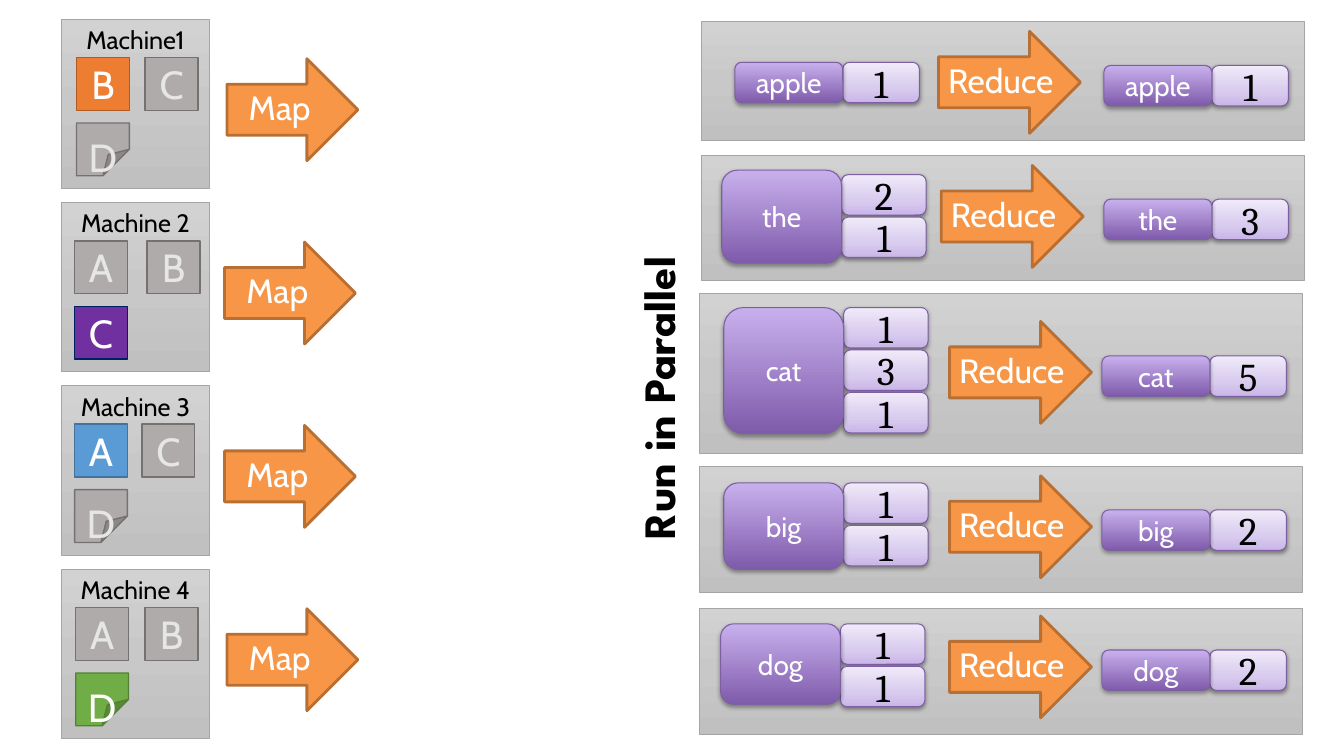
from lxml import etree
from pptx import Presentation
from pptx.dml.color import RGBColor
from pptx.enum.shapes import MSO_SHAPE as SHAPE
from pptx.enum.text import MSO_ANCHOR as ANCHOR, MSO_AUTO_SIZE as AUTO, PP_ALIGN as ALIGN
from pptx.oxml.ns import qn
from pptx.util import Cm, Pt

# Content: machine, left edges of the two block columns, left edge of Map, blocks
# (letter, colour of the block in use or "idle")
MACHINES = [
    ("Machine1", (1.93, 3.66), 5.72, [("B", "orange"), ("C", "idle"), ("D", "idle")]),
    ("Machine 2", (1.88, 3.71), 5.66, [("A", "idle"), ("B", "idle"), ("C", "purple")]),
    ("Machine 3", (1.88, 3.58), 5.66, [("A", "blue"), ("C", "idle"), ("D", "idle")]),
    ("Machine 4", (1.91, 3.66), 5.72, [("A", "idle"), ("B", "idle"), ("D", "green")]),
]
# Word, counts, panel (x, y, h), key (x, y, w, h), gap above counts, arrow (x, y), result y
REDUCERS = [
    ("apple", [1], (17.68, 0.53, 3.02), (18.52, 1.57, 2.72, 1.02), 0, (23.65, 0.79), 1.65),
    ("the", [2, 1], (17.68, 3.91, 3.15), (18.19, 4.29, 3.02, 2.34), 0.11, (23.72, 4.17), 5.02),
    ("cat", [1, 3, 1], (17.63, 7.39, 4.04), (18.24, 7.75, 3.02, 3.18), 0, (23.93, 8.1), 8.97),
    ("big", [1, 1], (17.63, 11.76, 3.18), (18.24, 12.17, 3.02, 2.18), 0, (23.93, 11.99), 12.85),
    ("dog", [1, 1], (17.63, 15.32, 3.18), (18.16, 15.72, 3.02, 2.03), 0, (23.93, 15.52), 16.38),
]
SIDE_LABEL = "Run in Parallel"

COLORS = {
    "black": "000000", "white": "FFFFFF", "idle_text": "E7E6E6",
    "idle": "AFABAB", "idle_line": "767171",
    "orange": "ED7D31", "orange_line": "AF5C24",
    "purple": "7030A0", "purple_line": "002060",
    "blue": "5B9BD5", "blue_line": "43739E",
    "green": "70AD47", "green_line": "538035",
    "arrow": "F79646", "arrow_line": "B76F34",
    "panel_line": "A5A5A5", "pair_line": "7D60A0",
}
# Gradient stops (percent, colour) and angle, counted anticlockwise
GRADIENTS = {
    "panel": ([(0, "D2D2D2"), (50, "C8C8C8"), (100, "C0C0C0")], 270),
    "key": ([(0, "7F5BAB"), (100, "C8B0ED")], 90),
    "count": ([(0, "C9B5E8"), (35, "D8CBEE"), (100, "F0EAF9")], 90),
}
# Size, font and colour of each kind of text
FONTS = {
    "machine": (18, "Cabin", "black"),
    "block": (28, "Cabin", "white"),
    "idle": (28, "Cabin", "idle_text"),
    "arrow": (24, "Cabin", "white"),
    "key": (20, "Cabin", "white"),
    "count": (28, "Cambria", "black"),
    "side": (32, "League Spartan", "black"),
}
# Insets: left, top, right, bottom
INSETS = (0.25, 0.13, 0.25, 0.13)
FOLD_INSETS = (0.25, 1.02, 0.25, 0)
MAP_INSETS = (0.25, 0, 0.25, 0.13)
REDUCE_INSETS = (0.2, 0, 0, 0.13)
PAIR_INSETS = (0, 0.13, 0, 0.13)

MACHINE_X, MACHINE_Y, MACHINE_PITCH = 1.55, 0.48, 4.62
MACHINE_W, MACHINE_H = 3.73, 4.27
BLOCK, BLOCK_DY, BLOCK_PITCH = 1.33, 0.97, 1.65
MAP_W, REDUCE_W, ARROW_H, MAP_DY = 3.3, 3.58, 2.57, 1
PANEL_W, RESULT_DX, RESULT_KEY_W = 15.19, 10.14, 2.72
CELL_H, CELL_PITCH, NARROW, WIDE = 1.02, 1.07, 1.93, 2.13


def rgb(name):
    return RGBColor.from_string(COLORS[name])


def write(tf, text, style, insets=INSETS, anchor=ANCHOR.MIDDLE, align=ALIGN.CENTER):
    sides = ("margin_left", "margin_top", "margin_right", "margin_bottom")
    for side, value in zip(sides, insets):
        setattr(tf, side, Cm(value))
    tf.vertical_anchor = anchor
    p = tf.paragraphs[0]
    p.alignment = align
    r = p.add_run()
    r.text = text
    size, name, color = FONTS[style]
    for key, value in {"size": Pt(size), "name": name}.items():
        setattr(r.font, key, value)
    r.font.color.rgb = rgb(color)
    return r


def paint_gradient(sp, name):
    stops, angle = GRADIENTS[name]
    sp.fill.gradient()
    sp.fill.gradient_angle = angle
    gs_list = sp._element.spPr.find(qn("a:gradFill")).find(qn("a:gsLst"))
    for gs in list(gs_list):
        gs_list.remove(gs)
    for pos, color in stops:
        gs = etree.SubElement(gs_list, qn("a:gs"), pos=str(pos * 1000))
        etree.SubElement(gs, qn("a:srgbClr"), val=color)


def add_shadow(sp, alpha, dist):
    effects = sp._element.spPr.find(qn("a:effectLst"))
    shadow = etree.SubElement(effects, qn("a:outerShdw"), blurRad=str(int(Pt(3.1))),
                              dist=str(int(Pt(dist))), dir="5400000", rotWithShape="0")
    color = etree.SubElement(shadow, qn("a:srgbClr"), val=COLORS["black"])
    etree.SubElement(color, qn("a:alpha"), val=str(alpha * 1000))


def fold_half(sp):
    guides = sp._element.spPr.find(qn("a:prstGeom")).find(qn("a:avLst"))
    etree.SubElement(guides, qn("a:gd"), name="adj", fmla="val 50000")


def add_box(shapes, kind, box, fill, line, width):
    sp = shapes.add_shape(kind, *(Cm(v) for v in box))
    sp.shadow.inherit = False
    if fill in GRADIENTS:
        paint_gradient(sp, fill)
    else:
        sp.fill.solid()
        sp.fill.fore_color.rgb = rgb(fill)
    sp.line.color.rgb = rgb(line)
    sp.line.width = Pt(width)
    return sp


def add_arrow(shapes, text, box, insets):
    sp = add_box(shapes, SHAPE.RIGHT_ARROW, box, "arrow", "arrow_line", 2)
    sp.text_frame.word_wrap = False
    write(sp.text_frame, text, "arrow", insets)


def add_cell(shapes, style, text, box):
    sp = add_box(shapes, SHAPE.ROUNDED_RECTANGLE, box, style, "pair_line", 0.75)
    add_shadow(sp, *((35, 1.8) if style == "key" else (38, 1.6)))
    write(sp.text_frame, text, style, PAIR_INSETS)


def add_machine(shapes, index, name, columns, map_x, blocks):
    top = MACHINE_Y + index * MACHINE_PITCH
    sp = add_box(shapes, SHAPE.RECTANGLE, (MACHINE_X, top, MACHINE_W, MACHINE_H),
                 "panel", "panel_line", 0.5)
    write(sp.text_frame, name, "machine", anchor=ANCHOR.TOP)
    for i, (letter, color) in enumerate(blocks):
        row, col = divmod(i, 2)
        folded = letter == "D"
        box = (columns[col], top + BLOCK_DY + row * BLOCK_PITCH, BLOCK, BLOCK)
        sp = add_box(shapes, SHAPE.FOLDED_CORNER if folded else SHAPE.RECTANGLE,
                     box, color, color + "_line", 1)
        if folded:
            fold_half(sp)
        write(sp.text_frame, letter, "idle" if color == "idle" else "block",
              FOLD_INSETS if folded else INSETS)
    add_arrow(shapes, "Map", (map_x, top + MAP_DY, MAP_W, ARROW_H), MAP_INSETS)


def add_reducer(shapes, word, counts, panel, key, gap, arrow, result_y):
    x, y, h = panel
    add_box(shapes, SHAPE.RECTANGLE, (x, y, PANEL_W, h), "panel", "panel_line", 0.5)
    # Grouped counts, then the key over them
    key_x, key_y, key_w, key_h = key
    count_w = WIDE if len(counts) > 1 else NARROW
    for i, count in enumerate(counts):
        add_cell(shapes, "count", str(count),
                 (key_x + key_w, key_y + gap + i * CELL_PITCH, count_w, CELL_H))
    add_cell(shapes, "key", word, key)
    add_arrow(shapes, "Reduce", (*arrow, REDUCE_W, ARROW_H), REDUCE_INSETS)
    # Result pair
    pair = shapes.add_group_shape().shapes
    result_x = x + RESULT_DX
    add_cell(pair, "count", str(sum(counts)),
             (result_x + RESULT_KEY_W, result_y, NARROW, CELL_H))
    add_cell(pair, "key", word, (result_x, result_y, RESULT_KEY_W, CELL_H))


def main():
    prs = Presentation()
    prs.slide_width, prs.slide_height = Cm(33.87), Cm(19.05)
    shapes = prs.slides.add_slide(prs.slide_layouts[6]).shapes

    # Map side
    for index, machine in enumerate(MACHINES):
        add_machine(shapes, index, *machine)

    # Reduce side
    for reducer in REDUCERS:
        add_reducer(shapes, *reducer)

    # Vertical label
    tb = shapes.add_textbox(Cm(12.47), Cm(8.92), Cm(8.2), Cm(1.63))
    tb.rotation = 270
    tb.text_frame.word_wrap = False
    tb.text_frame.auto_size = AUTO.SHAPE_TO_FIT_TEXT
    r = write(tb.text_frame, SIDE_LABEL, "side", anchor=ANCHOR.TOP, align=ALIGN.LEFT)
    r.font.bold = True

    prs.save("out.pptx")


if __name__ == "__main__":
    main()
